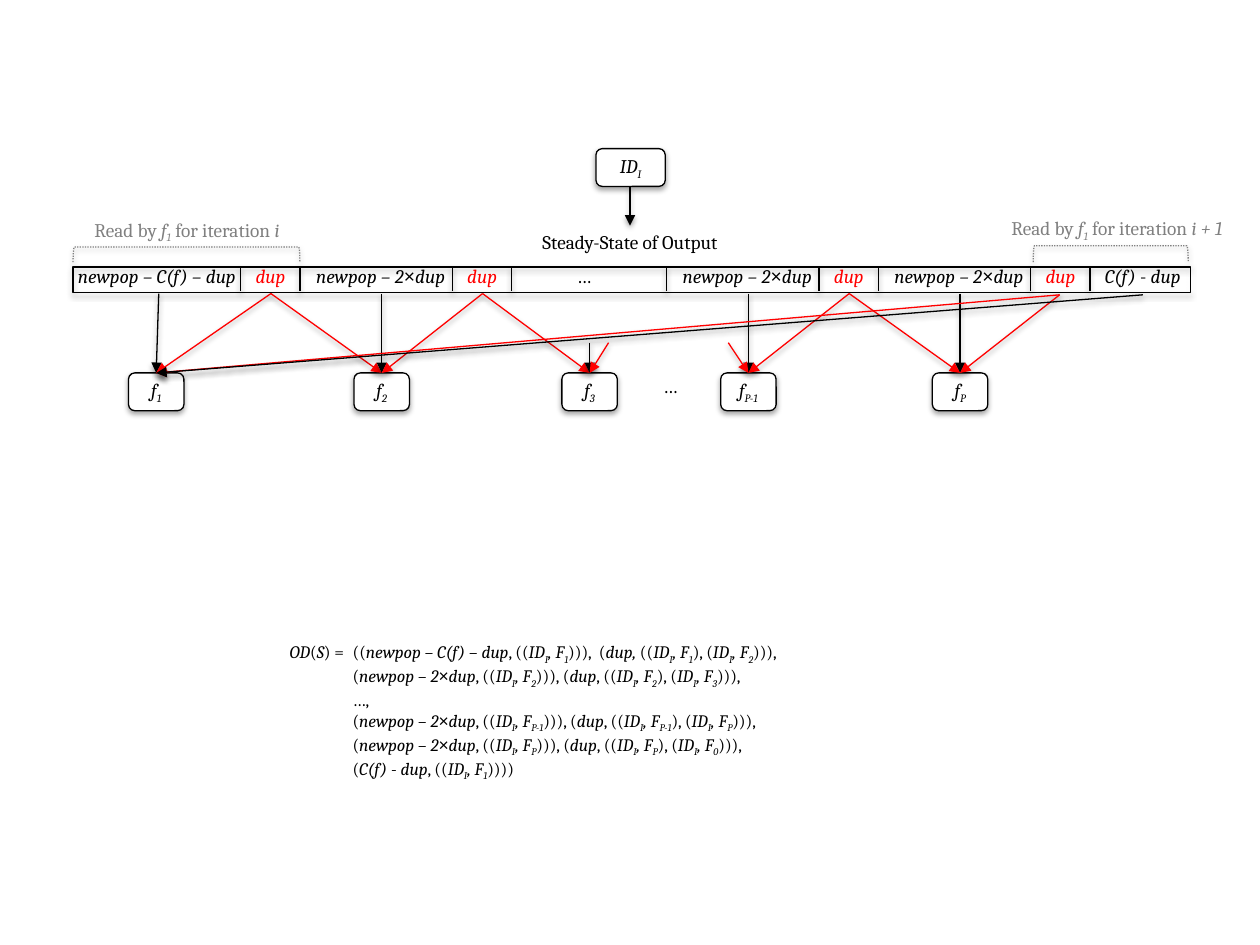
import pptx
import pptx.util
import pptx.dml.color
import pptx.enum.dml
import pptx.enum.shapes
import pptx.enum.text
from lxml import etree
from pptx.oxml.ns import qn

Inches = pptx.util.Inches
SHAPE = pptx.enum.shapes.MSO_SHAPE
ALIGN = pptx.enum.text.PP_ALIGN
BLACK, RED, GREY, WHITE = "000000", "FF0000", "808080", "FFFFFF"
NEWPOP = "*newpop – 2×dup*"


def rgb(value):
    """Turn a hex string into a colour."""
    return pptx.dml.color.RGBColor.from_string(value)


def add_shadow(shape, alpha):
    """Give a shape a soft shadow straight below it."""
    effects = etree.SubElement(shape._element.spPr, qn("a:effectLst"))
    outer = etree.SubElement(effects, qn("a:outerShdw"), blurRad="39370",
                             dist="21590", dir="5400000", rotWithShape="0")
    color = etree.SubElement(outer, qn("a:srgbClr"), val=BLACK)
    etree.SubElement(color, qn("a:alpha"), val=str(alpha * 1000))


def add_rich(p, text, size, color, align):
    """Fill a paragraph; * toggles italic and ~ toggles subscript."""
    p.alignment = align
    p.font.size = pptx.util.Pt(size)
    p.font.name = "Cambria"
    p.font.color.rgb = rgb(color)
    italic = sub = False
    for mark in text.replace("×", "\0×\0").replace("*", "\0*\0").replace("~", "\0~\0").split("\0"):
        if mark == "*":
            italic = not italic
        elif mark == "~":
            sub = not sub
        elif mark:
            r = p.add_run()
            r.text = mark
            r.font.italic = italic and mark != "×"
            if mark == "×":
                r.font.name = "Arial"
            if sub:
                r._r.get_or_add_rPr().set("baseline", "-25000")


def add_text(s, x, y, w, lines, h=0.29, size=11, color=BLACK, align=ALIGN.LEFT, tab=None):
    """Add an unwrapped text box with one paragraph per line."""
    tf = s.shapes.add_textbox(Inches(x), Inches(y), Inches(w), Inches(h)).text_frame
    tf.word_wrap = False
    tf.auto_size = pptx.enum.text.MSO_AUTO_SIZE.SHAPE_TO_FIT_TEXT
    for i, line in enumerate(lines):
        p = tf.add_paragraph() if i else tf.paragraphs[0]
        add_rich(p, line, size, color, align)
        if tab:
            tabs = etree.Element(qn("a:tabLst"))
            etree.SubElement(tabs, qn("a:tab"), pos=str(Inches(tab)), algn="l")
            p._p.get_or_add_pPr().insert(0, tabs)


def add_outline(s, kind, x, y, w, h, color=BLACK, fill=None):
    """Add a thin outlined shape with a shadow."""
    sp = s.shapes.add_shape(kind, Inches(x), Inches(y), Inches(w), Inches(h))
    if fill:
        sp.fill.solid()
        sp.fill.fore_color.rgb = rgb(fill)
    else:
        sp.fill.background()
    sp.line.color.rgb = rgb(color)
    sp.line.width = pptx.util.Pt(0.75)
    add_shadow(sp, 35)
    return sp


def add_line(s, x1, y1, x2, y2, color=BLACK, arrow=True):
    """Add a straight line, with an arrowhead at its end if asked."""
    c = s.shapes.add_connector(pptx.enum.shapes.MSO_CONNECTOR.STRAIGHT,
                               Inches(x1), Inches(y1), Inches(x2), Inches(y2))
    c.line.color.rgb = rgb(color)
    c.line.width = pptx.util.Pt(0.75)
    if arrow:
        etree.SubElement(c.line._get_or_add_ln(), qn("a:tailEnd"), type="triangle")
    add_shadow(c, 38)


def add_node(s, x, y, w, text):
    """Add a rounded box with a centred name."""
    sp = add_outline(s, SHAPE.ROUNDED_RECTANGLE, x, y, w, 0.3, fill=WHITE)
    sp.text_frame.vertical_anchor = pptx.enum.text.MSO_ANCHOR.MIDDLE
    add_rich(sp.text_frame.paragraphs[0], text, 11, BLACK, ALIGN.CENTER)


def add_bracket(s, x, y, w, h, label, label_x, label_w):
    """Add a dotted bracket open downwards, with its caption above."""
    sp = add_outline(s, SHAPE.LEFT_BRACKET, x + (w - h) / 2, y - (w - h) / 2, h, w, GREY)
    sp.rotation = 90
    sp.line.dash_style = pptx.enum.dml.MSO_LINE.ROUND_DOT
    add_text(s, label_x, y - 0.28, label_w, [label], color=GREY, align=ALIGN.CENTER)


def add_buffer(s, x, y, cells):
    """Add the output bar split into labelled cells."""
    add_outline(s, SHAPE.RECTANGLE, x, y, sum(cell[0] for cell in cells), 0.2)
    for i, (w, label, shift, label_w) in enumerate(cells):
        if i:
            add_line(s, x, y, x, y + 0.19, arrow=False)
        color = RED if label == "*dup*" else BLACK
        add_text(s, x + shift, y - 0.07, label_w, [label], color=color)
        x += w


def add_links(s, top, bottom, links):
    """Add the arrows from the bar down to the nodes."""
    for x1, x2, color, drop in links:
        add_line(s, x1, top + drop, x2, bottom, color)


def pair(first, second):
    """Return one line of the formula for two neighbouring filters."""
    return (f"\t(*newpop – 2×dup*, ((*ID~I~, F~{first}~*))), "
            f"(*dup*, ((*ID~I~, F~{first}~*), (*ID~I~, F~{second}~*))), ")


def build():
    """Build the slide and save it."""
    prs = pptx.Presentation()
    prs.slide_width, prs.slide_height = Inches(10), Inches(7.5)
    s = prs.slides.add_slide(prs.slide_layouts[6])

    add_text(s, 4.19, 1.78, 1.62, ["Steady-State of Output"], align=ALIGN.CENTER)
    add_node(s, 4.73, 1.18, 0.55, "*ID~I~*")
    add_line(s, 5, 1.48, 5, 1.79)

    dup = (0.47, "*dup*", 0.02, 0.44)
    newpop = (1.21, NEWPOP, 0.03, 1.25)
    add_buffer(s, 0.58, 2.12, [
        (1.33, "*newpop – C(f) – dup*", -0.06, 1.48), dup, newpop, dup,
        (1.23, "…", 0.42, 0.36), newpop, dup, newpop, dup,
        (0.8, "*C(f) *- *dup*", 0.02, 0.82)])

    f1, f2, f3, fq, fp = centers = [1.24, 3.03, 4.68, 5.94, 7.62]
    for x, name in zip(centers, ["1", "2", "3", "P-1", "P"]):
        add_node(s, x - 0.22, 2.96, 0.44, f"*f~{name}~*")
    add_text(s, 5.14, 2.92, 0.36, ["…"], align=ALIGN.CENTER)

    add_links(s, 2.33, 2.96, [
        (1.26, f1, BLACK, 0), (2.15, f1, RED, 0), (2.15, f2, RED, 0),
        (f2, f2, BLACK, 0), (3.83, f3, RED, 0), (3.83, f2, RED, 0),
        (fq, fq, BLACK, 0), (fp, fp, BLACK, 0), (6.74, fp, RED, 0),
        (6.74, fq, RED, 0), (8.41, f1, RED, 0.01), (8.41, fp, RED, 0.01),
        (9.07, f1, BLACK, 0.01), (f3, f3, BLACK, 0.39),
        (4.83, f3, RED, 0.39), (5.78, fq, RED, 0.39)])

    caption = "Read by *f~1~* for iteration "
    add_bracket(s, 0.58, 1.96, 1.8, 0.12, caption + "*i*", 0.62, 1.73)
    add_bracket(s, 8.2, 1.95, 1.23, 0.13, caption + "*i + 1*", 7.87, 1.99)

    add_text(s, 2.2, 5.04, 4.28, [
        "*OD*(*S*) =\t((*newpop – C(f) – dup*, ((*ID~I~, F~1~*))),  "
        "(*dup, *((*ID~I~, F~1~*), (*ID~I~, F~2~*))), ",
        pair("2", "3"), "\t…, ", pair("P-1", "P"), pair("P", "0"),
        "\t(*C(f) *- *dup*, ((*ID~I~, F~1~*)))) "], h=1.11, size=10, tab=0.5)
    prs.save("out.pptx")


build()
